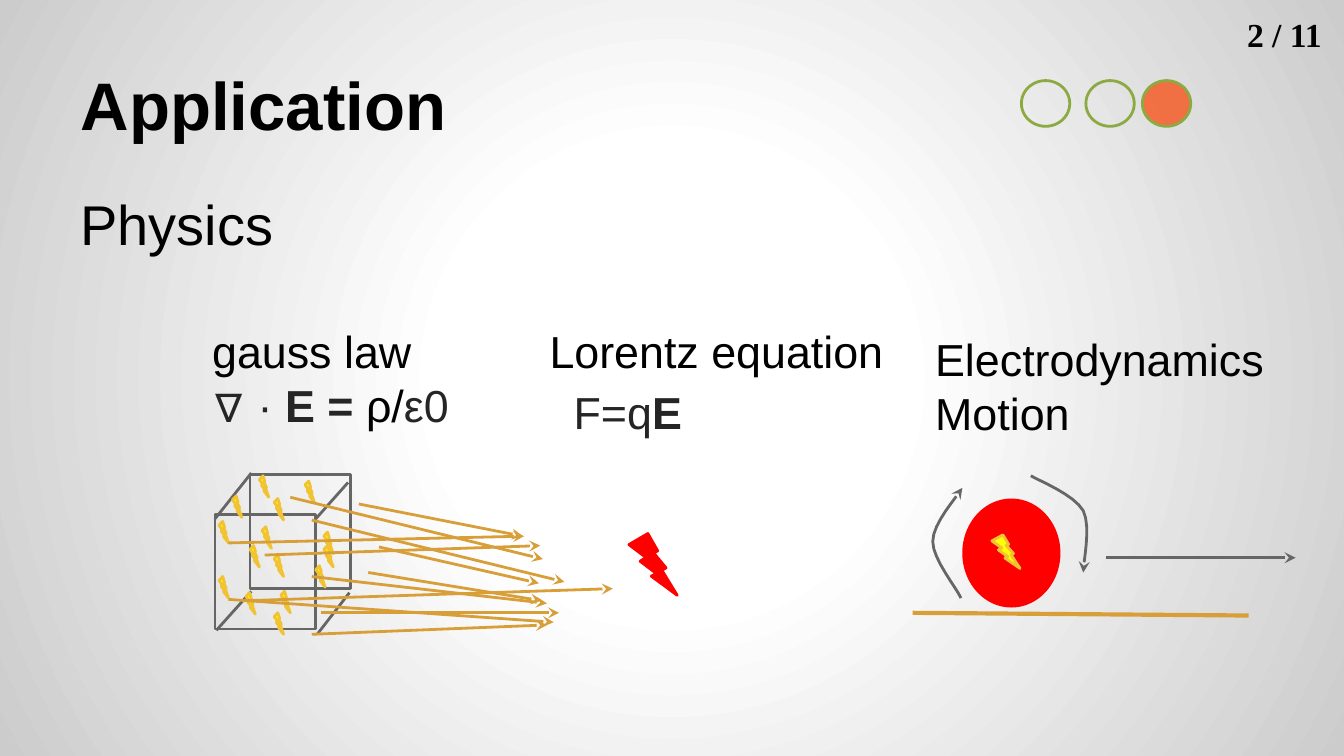
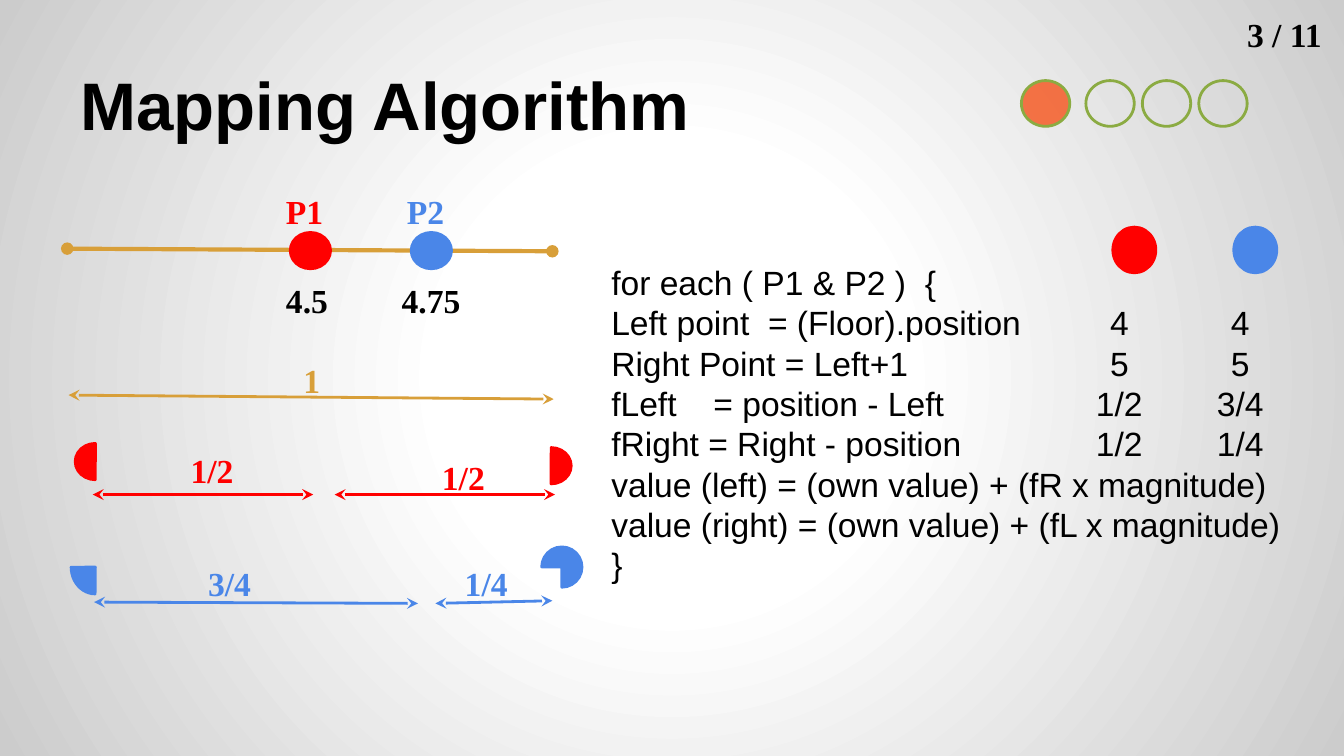
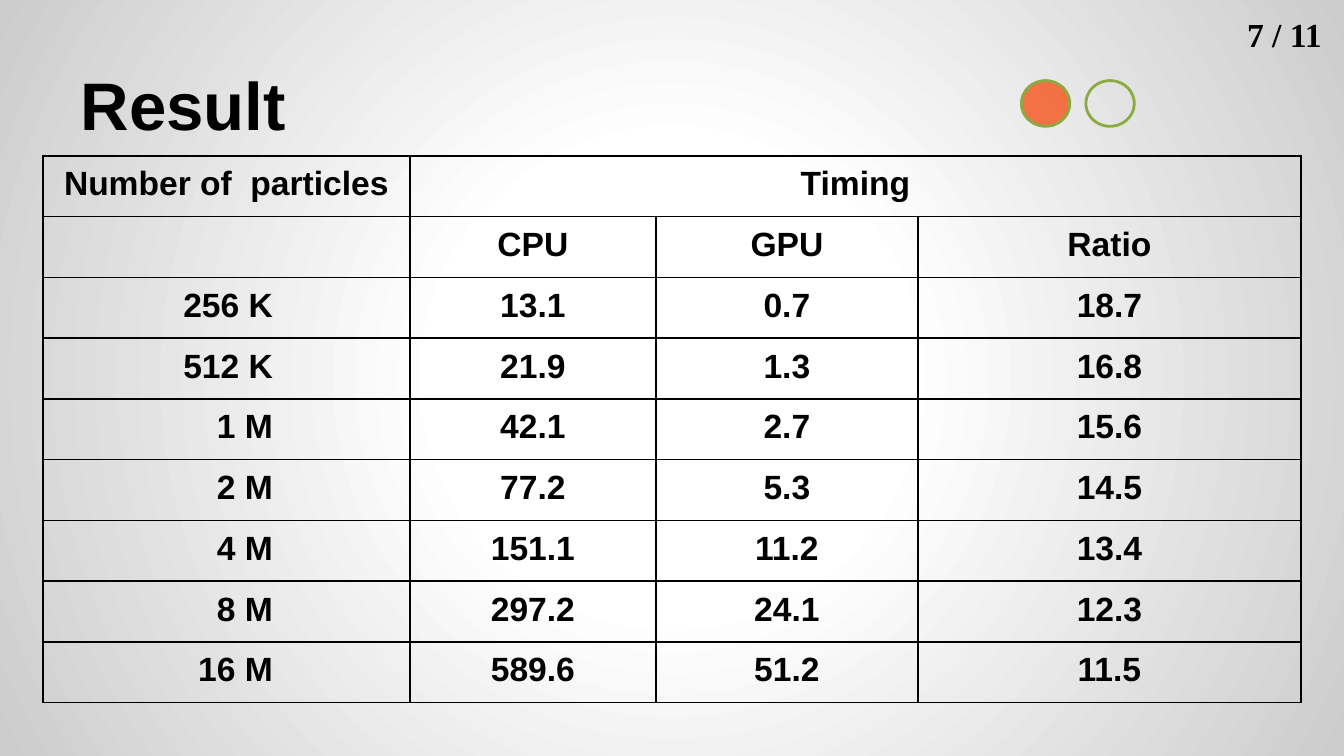
from dataclasses import dataclass
from typing import Any, NamedTuple, Optional, Sequence

from lxml.etree import SubElement
from pptx import Presentation
from pptx.dml.color import RGBColor
from pptx.enum.shapes import MSO_CONNECTOR, MSO_SHAPE
from pptx.enum.text import MSO_ANCHOR, MSO_AUTO_SIZE, PP_ALIGN
from pptx.oxml import parse_xml
from pptx.oxml.ns import nsdecls, qn
from pptx.util import Emu, Inches, Pt

# Grid: 100 columns by 56.25 rows of square cells
WIDTH, HEIGHT = Inches(10), Inches(5.625)
COLUMNS, ROWS = 100, 56.25
PAGES = 11


@dataclass(frozen=True)
class Theme:
    black: str = "000000"
    ink: str = "252525"
    gray: str = "666666"
    red: str = "FF0000"
    blue: str = "4A86E8"
    gold: str = "D89F39"
    yellow: str = "FFFF00"
    amber: str = "F1C232"
    green: str = "8BAB42"
    orange: str = "F46433"
    glow: str = "FFFFFF"
    edge: str = "CCCCCC"
    sans: str = "Arial"
    serif: str = "Times New Roman"
    title: float = 36
    topic: float = 30
    heading: float = 24
    body: float = 18
    thin: float = 1.5
    thick: float = 2.25
    border: float = 1


THEME = Theme()


class Point(NamedTuple):
    x: float
    y: float

    def emu(self) -> tuple[int, int]:
        return Emu(int(WIDTH * self.x / COLUMNS)), Emu(int(HEIGHT * self.y / ROWS))


class Box(NamedTuple):
    left: float
    top: float
    width: float
    height: float

    def emu(self) -> tuple[int, ...]:
        return Point(self.left, self.top).emu() + Point(self.width, self.height).emu()


class Style(NamedTuple):
    size: float
    font: str = THEME.sans
    color: str = THEME.black
    bold: bool = False


class Span(NamedTuple):
    text: str
    style: Style


class Arrow(NamedTuple):
    start: Point
    end: Point
    color: str
    head: Optional[str] = None
    tail: Optional[str] = "stealth"
    weight: float = THEME.thin


TITLE = Style(THEME.title, bold=True)
TOPIC = Style(THEME.topic)
HEADING = Style(THEME.heading)
FORMULA = Style(THEME.heading, color=THEME.ink)
FORMULA_BOLD = FORMULA._replace(bold=True)
CODE = Style(THEME.body)
LABEL = Style(THEME.body, THEME.serif, bold=True)
CELL = Style(THEME.body, bold=True)

FRAME = {"word_wrap": True, "auto_size": MSO_AUTO_SIZE.NONE,
         "margin_left": Inches(0.1), "margin_right": Inches(0.1),
         "margin_top": Inches(0.1), "margin_bottom": Inches(0.1)}
CELL_MARGINS = {"margin_left": Inches(0.08), "margin_right": Inches(0.08),
                "margin_top": Inches(0.03), "margin_bottom": Inches(0.1)}


# Shared drawing functions
def apply(target: Any, values: dict[str, Any]) -> None:
    for key, value in values.items():
        setattr(target, key, value)


def write(paragraph: Any, spans: Sequence[Span]) -> None:
    for text, style in spans:
        run = paragraph.add_run()
        run.text = text
        apply(run.font, {"size": Pt(style.size), "name": style.font, "bold": style.bold})
        run.font.color.rgb = RGBColor.from_string(style.color)


def add_text(slide: Any, box: Box, style: Style, *lines: str | Sequence[Span]) -> Any:
    frame = slide.shapes.add_textbox(*box.emu()).text_frame
    apply(frame, FRAME)
    for index, line in enumerate(lines):
        paragraph = frame.add_paragraph() if index else frame.paragraphs[0]
        write(paragraph, [Span(line, style)] if isinstance(line, str) else line)
    return frame


def set_line(line: Any, color: str, weight: float = THEME.thin,
             head: Optional[str] = None, tail: Optional[str] = None) -> None:
    line.color.rgb = RGBColor.from_string(color)
    line.width = Pt(weight)
    for tag, kind in (("a:headEnd", head), ("a:tailEnd", tail)):
        if kind:
            SubElement(line._get_or_add_ln(), qn(tag), type=kind)


def add_figure(slide: Any, kind: MSO_SHAPE, box: Box, line: str, fill: Optional[str] = None,
               alpha: Optional[int] = None) -> Any:
    figure = slide.shapes.add_shape(kind, *box.emu())
    figure.shadow.inherit = False
    if fill:
        figure.fill.solid()
        figure.fill.fore_color.rgb = RGBColor.from_string(fill)
        if alpha:
            color = figure.element.spPr.find(".//" + qn("a:srgbClr"))
            SubElement(color, qn("a:alpha"), val=str(alpha * 1000))
    else:
        figure.fill.background()
    set_line(figure.line, line)
    return figure


def add_arrow(slide: Any, arrow: Arrow) -> None:
    link = slide.shapes.add_connector(
        MSO_CONNECTOR.STRAIGHT, *arrow.start.emu(), *arrow.end.emu())
    set_line(link.line, arrow.color, arrow.weight, arrow.head, arrow.tail)
    SubElement(link.element.spPr, qn("a:effectLst"))


def add_pie(slide: Any, box: Box, color: str, start: float, end: float, turn: float) -> None:
    pie = add_figure(slide, MSO_SHAPE.PIE, box, color, color)
    for index, degrees in enumerate((start, end)):
        pie.adjustments[index] = degrees * 0.6
    pie.rotation = turn


def add_curve(slide: Any, knots: Sequence[Point], color: str, steps: int = 8) -> None:
    """Draw cubic Bezier pieces; neighbouring pieces share a knot."""
    points = []
    for first in range(0, len(knots) - 1, 3):
        piece = knots[first:first + 4]
        for step in range(1, steps + 1):
            t = step / steps
            weights = ((1 - t) ** 3, 3 * t * (1 - t) ** 2, 3 * t * t * (1 - t), t ** 3)
            points.append(Point(sum(w * p.x for w, p in zip(weights, piece)),
                                sum(w * p.y for w, p in zip(weights, piece))).emu())
    builder = slide.shapes.build_freeform(*knots[0].emu())
    builder.add_line_segments(points, close=False)
    curve = builder.convert_to_shape()
    curve.shadow.inherit = False
    curve.fill.background()
    set_line(curve.line, color, tail="stealth")


def set_background(master: Any) -> None:
    master.background.fill.solid()
    solid = master.element.find(".//" + qn("p:bgPr")).find(qn("a:solidFill"))
    stops = "".join(f'<a:gs pos="{share * 1000}"><a:srgbClr val="{color}"/></a:gs>'
                    for share, color in ((0, THEME.glow), (30, THEME.glow), (100, THEME.edge)))
    solid.getparent().replace(solid, parse_xml(
        f'<a:gradFill {nsdecls("a")} rotWithShape="1"><a:gsLst>{stops}</a:gsLst>'
        '<a:path path="circle"><a:fillToRect l="50000" t="50000" r="50000" b="50000"/>'
        '</a:path></a:gradFill>'))


def add_page(deck: Any, title: str, number: int, steps: int, current: int) -> Any:
    """Add a slide with its title, page number and progress dots."""
    slide = deck.slides.add_slide(deck.slide_layouts.get_by_name("Title Only"))
    heading = slide.shapes.title
    apply(heading, dict(zip(("left", "top", "width", "height"), Box(5, 2.3, 90, 9.4).emu())))
    apply(heading.text_frame, FRAME | {"vertical_anchor": MSO_ANCHOR.BOTTOM})
    paragraph = heading.text_frame.paragraphs[0]
    paragraph.alignment = PP_ALIGN.LEFT
    write(paragraph, [Span(title, TITLE)])
    for step, left in enumerate((76, 80.8, 85, 89.2)[:steps], start=1):
        active = step == current
        add_figure(slide, MSO_SHAPE.OVAL, Box(left, 6, 3.6, 3.4), THEME.green,
                   THEME.orange if active else None, 90 if active else None)
    add_text(slide, Box(91.8, 0, 8.2, 5.2), LABEL, f"{number} / {PAGES}")
    return slide


# Application
CHARGES = ((17.3, 36.9), (16.3, 42.9), (22.7, 35.8), (20.9, 44), (24.1, 40.6),
           (20.4, 37.1), (18.6, 40.6), (24.1, 39.6), (23.5, 42.1), (19.3, 35.4),
           (19.5, 39.2), (20.4, 41.3), (18.3, 44.1), (20.4, 45.6), (16.3, 38.8))
CUBE_EDGES = ((23.6, 47.2, 26, 44.1), (23.5, 38.6, 25.9, 35.9),
              (16, 38.6, 18.7, 35.2), (16.1, 46.9, 18.7, 44))
FIELD_LINES = ((26.7, 37.5, 38.9, 39.9), (21.6, 37, 40.4, 41.6), (23.2, 38.7, 42, 43.3),
               (28.2, 40.7, 40.1, 43.4), (27.4, 42.6, 40.3, 44.7), (23.2, 42.9, 40.7, 44.9),
               (23.9, 45.6, 41.6, 45.6), (23.2, 47.2, 40.7, 46.5), (18.3, 44.7, 45.6, 43.8),
               (17, 44.6, 41.2, 46.3), (19.7, 41.3, 40.2, 40.6), (17, 40.4, 39, 39.9))
SPIN_RIGHT = (Point(76.7, 35.4), Point(77.4, 35.8), Point(79.9, 36.8), Point(80.6, 38),
              Point(81.2, 39.2), Point(80.6, 41.8), Point(80.6, 42.6))
SPIN_LEFT = (Point(71.5, 44.5), Point(71.2, 43.8), Point(69.4, 41.6), Point(69.4, 40.3),
             Point(69.4, 38.9), Point(71.2, 37), Point(71.6, 36.3))


def add_bolt(slide: Any, box: Box, line: str, fill: str) -> None:
    add_figure(slide, MSO_SHAPE.LIGHTNING_BOLT, box, line, fill)


def build_application(deck: Any) -> None:
    slide = add_page(deck, "Application", number=2, steps=3, current=3)
    add_text(slide, Box(5, 13.1, 90, 12.8), TOPIC, "Physics")

    # Laws
    add_text(slide, Box(14.8, 27.1, 27.4, 7.9), FORMULA,
             [Span("∇ · ", FORMULA), Span("E = ", FORMULA_BOLD),
              Span("ρ/", HEADING), Span("ε0", FORMULA)])
    add_text(slide, Box(39.9, 23.1, 30.9, 11.1), HEADING, "Lorentz equation")
    add_text(slide, Box(41.7, 27.6, 31.4, 12.8), FORMULA,
             [Span("F=q", FORMULA), Span("E", FORMULA_BOLD)])
    add_text(slide, Box(14.8, 23.1, 20.2, 3.7), HEADING, "gauss law")
    add_text(slide, Box(68.6, 23.7, 31.4, 5.2), HEADING, "Electrodynamics", "Motion")

    # Charged cube and its field
    for left, top in ((16, 38.3), (18.6, 35.3)):
        add_figure(slide, MSO_SHAPE.RECTANGLE, Box(left, top, 7.5, 8.5), THEME.gray)
    for x1, y1, x2, y2 in CUBE_EDGES:
        add_arrow(slide, Arrow(Point(x1, y1), Point(x2, y2), THEME.gray, tail=None))
    for left, top in CHARGES:
        add_bolt(slide, Box(left, top, 0.7, 1.6), THEME.amber, THEME.yellow)
    add_bolt(slide, Box(46.8, 39.7, 3.6, 4.6), THEME.red, THEME.red)
    for x1, y1, x2, y2 in FIELD_LINES:
        add_arrow(slide, Arrow(Point(x1, y1), Point(x2, y2), THEME.gold))

    # Rolling charge
    add_bolt(slide, Box(73.2, 39.8, 2.1, 2.9), THEME.red, THEME.red)
    add_arrow(slide, Arrow(Point(67.9, 45.6), Point(92.9, 45.8), THEME.gold,
                           tail=None, weight=THEME.thick))
    add_figure(slide, MSO_SHAPE.OVAL, Box(71.7, 37.2, 7.1, 7.9), THEME.red, THEME.red)
    add_bolt(slide, Box(73.8, 39.8, 2.1, 2.5), THEME.amber, THEME.yellow)
    for spin in (SPIN_RIGHT, SPIN_LEFT):
        add_curve(slide, spin, THEME.gray)
    add_arrow(slide, Arrow(Point(82.3, 41.5), Point(96.4, 41.5), THEME.gray))


# Mapping algorithm
CODE_LINES = ("for each ( P1 & P2 )  {",
              "Left point  = (Floor).position\t4\t4",
              "Right Point = Left+1\t5\t5",
              "fLeft\t= position - Left\t1/2\t3/4",
              "fRight = Right - position\t1/2\t1/4",
              "value (left) = (own value) + (fR x magnitude)",
              "value (right) = (own value) + (fL x magnitude)",
              "}")
CODE_TABS = ((0.76, "l"), (3.78, "ctr"), (4.68, "ctr"))
SPANS = (Arrow(Point(5.1, 29.4), Point(41.2, 29.7), THEME.gold, "stealth"),
         Arrow(Point(6.9, 36.8), Point(23.3, 36.8), THEME.red, "stealth"),
         Arrow(Point(24.9, 36.8), Point(41.3, 36.8), THEME.red, "stealth"),
         Arrow(Point(7, 44.8), Point(31.1, 44.9), THEME.blue, "stealth"),
         Arrow(Point(32.4, 44.9), Point(41.1, 44.7), THEME.blue, "stealth"))
LABELS = (("P1", 20.3, 13.2, THEME.red), ("P2", 29.3, 13.2, THEME.blue),
          ("4.5", 20.3, 19.8, THEME.black), ("4.75", 28.9, 19.8, THEME.black),
          ("1", 21.6, 25.8, THEME.gold),
          ("1/2", 13.2, 32.5, THEME.red), ("1/2", 31.9, 33, THEME.red),
          ("3/4", 14.5, 40.9, THEME.blue), ("1/4", 33.6, 40.9, THEME.blue))
PIES = ((Box(5.6, 33, 3, 2.7), THEME.red, 90.48, 270, 0),
        (Box(5.3, 40.2, 3.6, 4), THEME.blue, 90.48, 179.62, 0),
        (Box(39.5, 33.3, 3, 2.7), THEME.red, 90.48, 270, 180),
        (Box(40.3, 40.7, 3, 3), THEME.blue, 90.48, 359.86, 90))


def build_mapping(deck: Any) -> None:
    slide = add_page(deck, "Mapping Algorithm", number=3, steps=4, current=1)

    # Pseudocode with one column of values per particle
    code = add_text(slide, Box(44.5, 18.5, 54.8, 37.75), CODE, *CODE_LINES)
    for paragraph in code.paragraphs:
        tabs = SubElement(paragraph._p.get_or_add_pPr(), qn("a:tabLst"))
        for position, side in CODE_TABS:
            SubElement(tabs, qn("a:tab"), pos=str(Inches(position)), algn=side)

    # Particles on the cell edge, and above their value columns
    add_arrow(slide, Arrow(Point(5, 18.5), Point(41.1, 18.7), THEME.gold,
                           "oval", "oval", THEME.thick))
    for color, on_edge, over_values in ((THEME.red, 21.6, 82.8), (THEME.blue, 30.6, 91.8)):
        for box in (Box(on_edge, 17.3, 3, 2.7), Box(over_values, 16.9, 3.2, 3.4)):
            add_figure(slide, MSO_SHAPE.OVAL, box, color, color)

    # Distances and the shares they give
    for span in SPANS:
        add_arrow(slide, span)
    for pie in PIES:
        add_pie(slide, *pie)
    for text, left, top, color in LABELS:
        add_text(slide, Box(left, top, 7, 4), LABEL._replace(color=color), text)


# Result
TIMINGS = (("Number of  particles", "Timing", "", ""),
           ("", "CPU", "GPU", "Ratio"),
           ("256 K", "13.1", "0.7", "18.7"),
           ("512 K", "21.9", "1.3", "16.8"),
           ("1 M", "42.1", "2.7", "15.6"),
           ("2 M", "77.2", "5.3", "14.5"),
           ("4 M", "151.1", "11.2", "13.4"),
           ("8 M", "297.2", "24.1", "12.3"),
           ("16 M", "589.6", "51.2", "11.5"))
TIMING_WIDTHS = (27.3, 18.3, 19.5, 28.5)
TIMING_HEIGHT = 4.4
HEADER_ROWS = 2
PLAIN_GRID = "{2D5ABB26-0587-4C30-8999-92F81FD0307C}"


def format_cell(cell: Any) -> None:
    cell.fill.background()
    properties = cell._tc.get_or_add_tcPr()
    for index, side in enumerate(("lnL", "lnR", "lnT", "lnB")):
        properties.insert(index, parse_xml(
            f'<a:{side} {nsdecls("a")} w="{Pt(THEME.border)}"><a:solidFill>'
            f'<a:srgbClr val="{THEME.black}"/></a:solidFill></a:{side}>'))
    apply(cell, CELL_MARGINS)


def build_result(deck: Any) -> None:
    slide = add_page(deck, "Result", number=7, steps=2, current=1)
    area = Box(3.2, 11.6, sum(TIMING_WIDTHS), TIMING_HEIGHT * len(TIMINGS))
    holder = slide.shapes.add_table(len(TIMINGS), len(TIMING_WIDTHS), *area.emu())
    holder.element.find(".//" + qn("a:tableStyleId")).text = PLAIN_GRID
    timings = holder.table
    apply(timings, {"first_row": False, "horz_banding": False})
    for column, width in zip(timings.columns, TIMING_WIDTHS):
        column.width = Point(width, 0).emu()[0]
    timings.cell(0, 1).merge(timings.cell(0, 3))
    for r, values in enumerate(TIMINGS):
        for c, value in enumerate(values):
            cell = timings.cell(r, c)
            format_cell(cell)
            paragraph = cell.text_frame.paragraphs[0]
            count = c == 0 and r >= HEADER_ROWS
            apply(paragraph, {"alignment": PP_ALIGN.RIGHT if count else PP_ALIGN.CENTER,
                              "line_spacing": 1.15})
            if count:
                cell.margin_right = Inches(1.02)
            if value:
                write(paragraph, [Span(value, CELL)])


def main() -> None:
    deck = Presentation()
    apply(deck, {"slide_width": WIDTH, "slide_height": HEIGHT})
    set_background(deck.slide_master)
    for build in (build_application, build_mapping, build_result):
        build(deck)
    deck.save("out.pptx")


if __name__ == "__main__":
    main()
